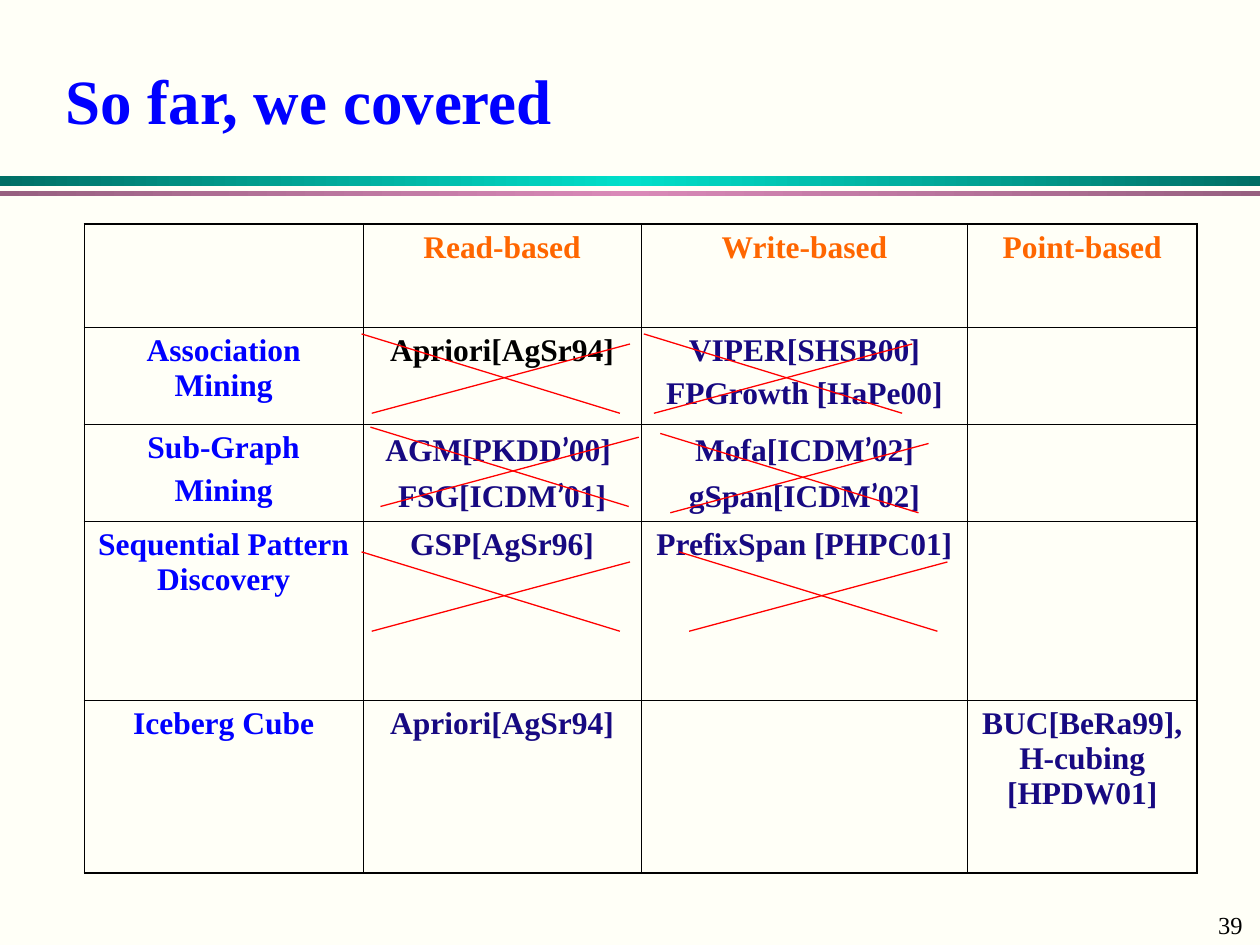
from copy import deepcopy
from dataclasses import dataclass
from itertools import groupby

from pptx import Presentation
from pptx.dml.color import RGBColor
from pptx.enum.shapes import MSO_CONNECTOR as Connector, MSO_SHAPE as Preset
from pptx.enum.text import MSO_ANCHOR as Anchor, MSO_AUTO_SIZE as AutoSize, PP_ALIGN as Align
from pptx.oxml.ns import qn
from pptx.oxml.xmlchemy import OxmlElement
from pptx.util import Inches, Pt


@dataclass(frozen=True)
class Theme:
    background: str = "FFFFF7"
    ink: str = "000000"
    title: str = "0000FF"
    row_label: str = "0000FF"
    column_label: str = "FF6600"
    entry: str = "170981"
    cross: str = "FF0000"
    upper_rule: tuple = ("006F65", "00DFCA", "006F65")
    lower_rule: tuple = ("976080", "D989B8", "976080")
    font: str = "Times New Roman"
    apostrophe_font: str = "Lato"
    title_size: float = 36
    table_size: float = 18
    number_size: float = 14
    outer_border: float = 1.08
    inner_border: float = 0.45
    cross_width: float = 0.75


@dataclass(frozen=True)
class Box:
    left: float
    top: float
    width: float
    height: float

    def inches(self):
        return [Inches(v) for v in (self.left, self.top, self.width, self.height)]


THEME = Theme()
WIDTH, HEIGHT = 10, 7.5

COLUMNS = [2.21, 2.21, 2.59, 1.82]
ROWS = [0.82, 0.77, 0.77, 1.42, 1.37]
# Paragraphs within a cell are separated by line breaks
CELLS = [
    ["", "Read-based", "Write-based", "Point-based"],
    ["Association Mining", "Apriori[AgSr94]", "VIPER[SHSB00]\nFPGrowth [HaPe00]", ""],
    ["Sub-Graph\nMining", "AGM[PKDD’00] \nFSG[ICDM’01]", "Mofa[ICDM’02]\ngSpan[ICDM’02]", ""],
    ["Sequential Pattern Discovery", "GSP[AgSr96]", "PrefixSpan [PHPC01]", ""],
    ["Iceberg Cube", "Apriori[AgSr94]", "", "BUC[BeRa99], H-cubing [HPDW01]"],
]
# Covered cells (row, column) and the offset of the cross from the cell corner
CROSSES = {
    (1, 1): (-0.01, 0.05), (2, 1): (0.06, 0.02),
    (1, 2): (0.02, 0.05), (2, 2): (0.15, 0.07),
    (3, 1): (-0.01, 0.24), (3, 2): (0.30, 0.24),
}
CROSS_SIZE = (2.13, 0.63)
CROSS_INSET = 0.08


def write_text(frame, text, size, color, bold=False, align=Align.LEFT, space_before=0):
    for index, line in enumerate(text.split("\n")):
        paragraph = frame.add_paragraph() if index else frame.paragraphs[0]
        paragraph.alignment = align
        paragraph.space_before = Pt(space_before)
        for is_apostrophe, letters in groupby(line, lambda letter: letter == "’"):
            run = paragraph.add_run()
            run.text = "".join(letters)
            run.font.name = THEME.apostrophe_font if is_apostrophe else THEME.font
            run.font.size = Pt(size)
            run.font.bold = bold
            run.font.color.rgb = RGBColor.from_string(color)


def add_rule(slide, box, colors):
    """A horizontal band with evenly spaced gradient stops."""
    shape = slide.shapes.add_shape(Preset.RECTANGLE, *box.inches())
    shape.shadow.inherit = False
    shape.line.fill.background()
    shape.fill.gradient()
    shape.fill.gradient_angle = 0
    stop_list = next(shape._element.spPr.iter(qn("a:gsLst")))
    stop_list.insert(1, deepcopy(stop_list[0]))
    for index, (stop, color) in enumerate(zip(shape.fill.gradient_stops, colors)):
        stop.color.rgb = RGBColor.from_string(color)
        stop.position = index / (len(colors) - 1)


def add_title(slide, box, text):
    title = slide.shapes.title
    title.left, title.top, title.width, title.height = box.inches()
    frame = title.text_frame
    frame.auto_size = AutoSize.NONE
    frame.vertical_anchor = Anchor.MIDDLE
    write_text(frame, text, THEME.title_size, THEME.title, bold=True)


def add_page_number(slide, box, text):
    frame = slide.shapes.add_textbox(*box.inches()).text_frame
    frame.word_wrap = True
    write_text(frame, text, THEME.number_size, THEME.ink)


def set_borders(cell, outer_sides):
    properties = cell._tc.get_or_add_tcPr()
    for side in "LRTB":
        width = THEME.outer_border if side in outer_sides else THEME.inner_border
        line = OxmlElement(f"a:ln{side}")
        line.set("w", str(Pt(width)))
        fill = OxmlElement("a:solidFill")
        color = OxmlElement("a:srgbClr")
        color.set("val", THEME.ink)
        fill.append(color)
        line.append(fill)
        properties.append(line)


def cell_color(row, column):
    if row == 0:
        return THEME.column_label
    if column == 0:
        return THEME.row_label
    return THEME.ink if (row, column) == (1, 1) else THEME.entry


def add_coverage_table(slide, box):
    table = slide.shapes.add_table(len(ROWS), len(COLUMNS), *box.inches()).table
    table.first_row = table.horz_banding = False
    for column, width in zip(table.columns, COLUMNS):
        column.width = Inches(width)
    for row, height in zip(table.rows, ROWS):
        row.height = Inches(height)
    for r, texts in enumerate(CELLS):
        for c, text in enumerate(texts):
            cell = table.cell(r, c)
            edges = {"L": c == 0, "R": c == len(COLUMNS) - 1,
                     "T": r == 0, "B": r == len(ROWS) - 1}
            set_borders(cell, [side for side, outer in edges.items() if outer])
            cell.fill.background()
            write_text(cell.text_frame, text, THEME.table_size, cell_color(r, c),
                       bold=True, align=Align.CENTER, space_before=4.5)


def add_cross(slide, box):
    right, bottom = box.left + box.width, box.top + box.height
    strokes = [
        (box.left + CROSS_INSET, bottom, right, box.top + CROSS_INSET),
        (right - CROSS_INSET, bottom, box.left, box.top),
    ]
    for ends in strokes:
        line = slide.shapes.add_connector(Connector.STRAIGHT, *map(Inches, ends))
        line.line.color.rgb = RGBColor.from_string(THEME.cross)
        line.line.width = Pt(THEME.cross_width)
        line._element.spPr.append(OxmlElement("a:effectLst"))


def add_crosses(slide, box):
    for (row, column), (dx, dy) in CROSSES.items():
        left = box.left + sum(COLUMNS[:column]) + dx
        top = box.top + sum(ROWS[:row]) + dy
        add_cross(slide, Box(left, top, *CROSS_SIZE))


def build_coverage_slide(presentation):
    slide = presentation.slides.add_slide(presentation.slide_layouts[5])
    slide.background.fill.solid()
    slide.background.fill.fore_color.rgb = RGBColor.from_string(THEME.background)

    # Double rule and page number
    add_rule(slide, Box(0, 1.4, WIDTH, 0.08), THEME.upper_rule)
    add_rule(slide, Box(0, 1.52, WIDTH, 0.04), THEME.lower_rule)
    add_page_number(slide, Box(WIDTH - 0.43, 7.17, 0.43, 0.34), "39")

    # Title, table and the crosses over what has been covered
    add_title(slide, Box(0.42, 0.42, 9.17, 0.73), "So far, we covered")
    table_box = Box(0.67, 1.78, sum(COLUMNS), sum(ROWS))
    add_coverage_table(slide, table_box)
    add_crosses(slide, table_box)


def main():
    presentation = Presentation()
    presentation.slide_width, presentation.slide_height = Inches(WIDTH), Inches(HEIGHT)
    build_coverage_slide(presentation)
    presentation.save("out.pptx")


if __name__ == "__main__":
    main()
